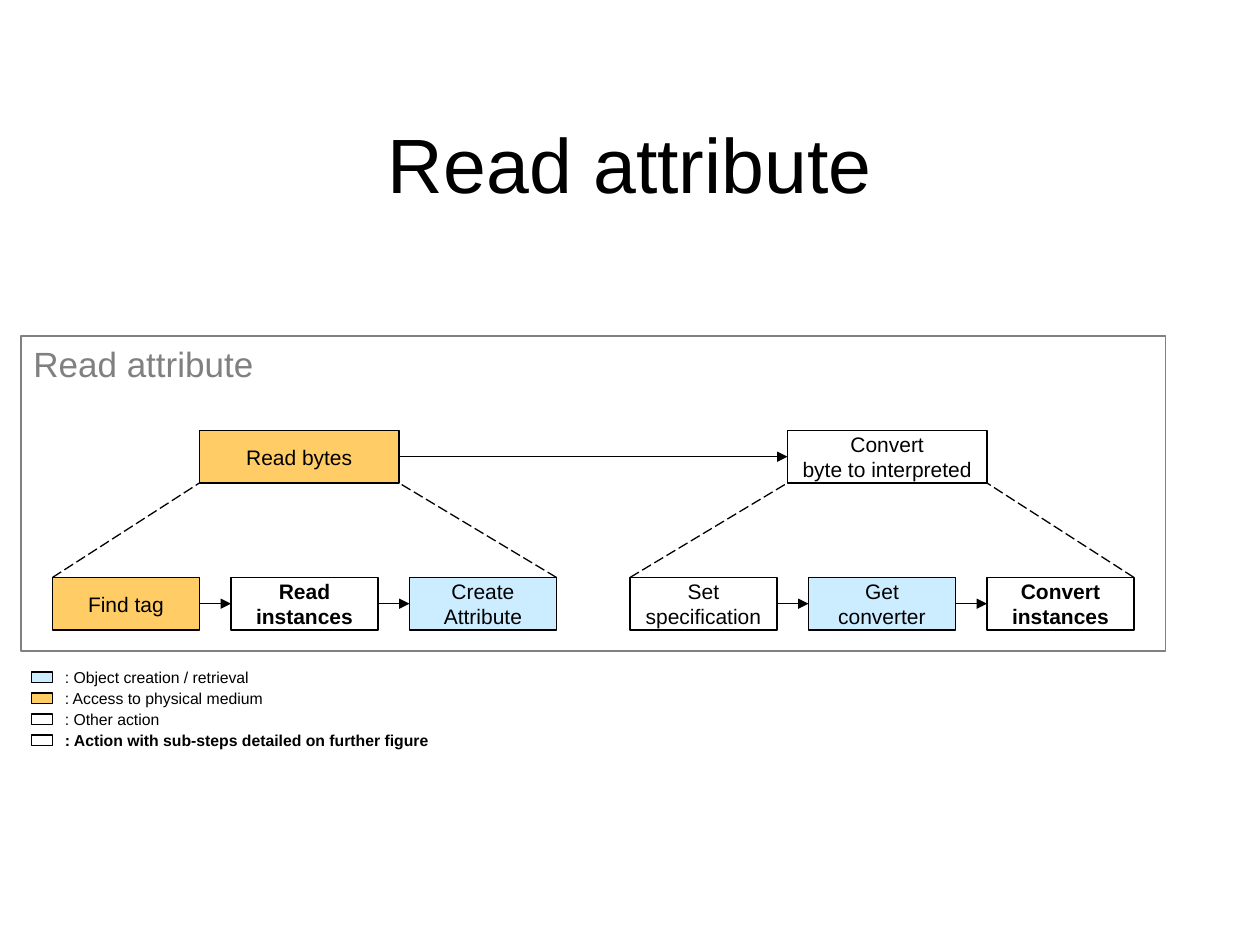
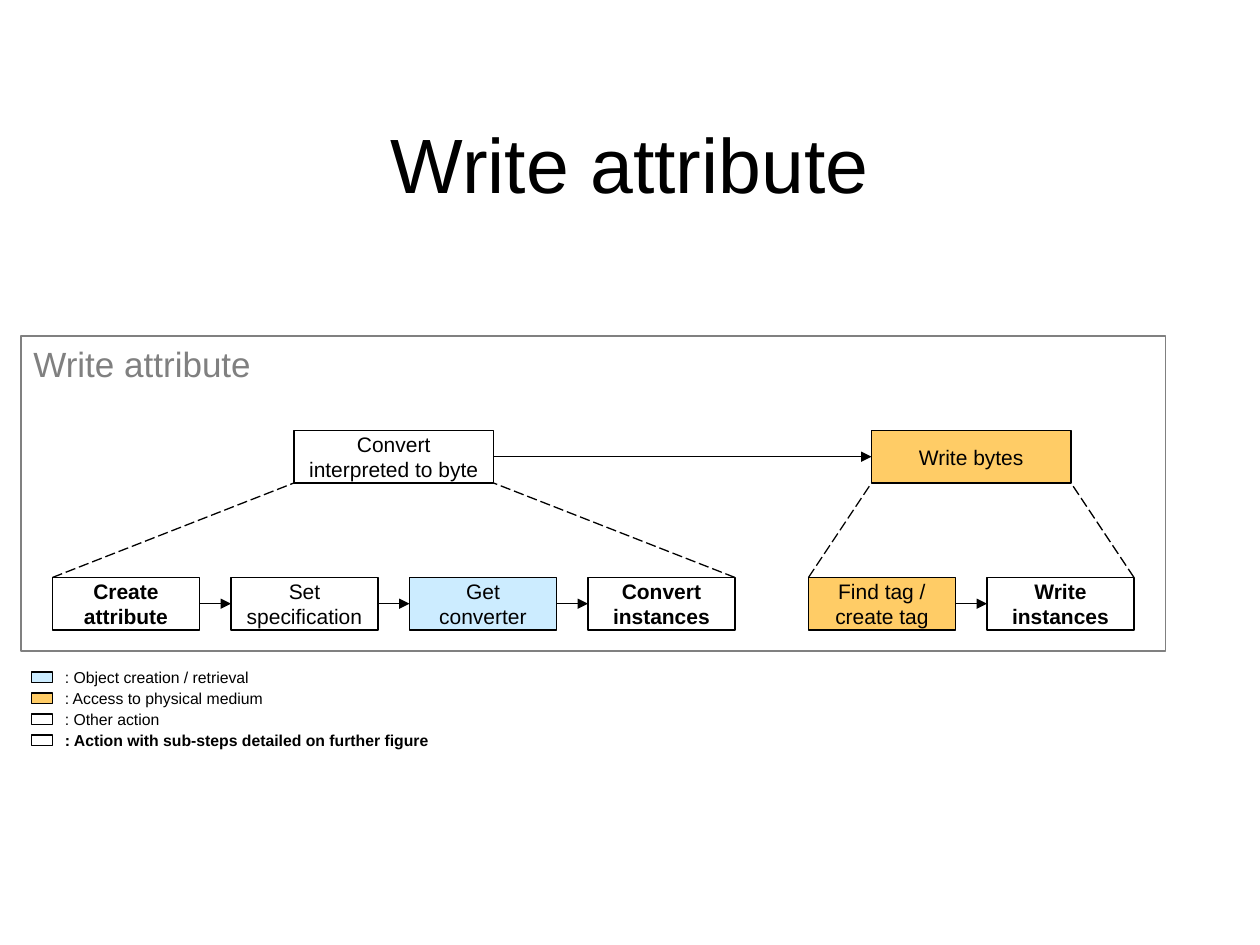
"""Build two process slides: reading and writing an attribute."""
from typing import NamedTuple

from lxml.etree import SubElement
from pptx import Presentation
from pptx.dml.color import RGBColor
from pptx.enum.dml import MSO_LINE
from pptx.enum.shapes import MSO_CONNECTOR, MSO_SHAPE
from pptx.enum.text import MSO_ANCHOR, PP_ALIGN
from pptx.oxml.ns import qn
from pptx.shapes.autoshape import Shape
from pptx.slide import Slide
from pptx.text.text import TextFrame
from pptx.util import Inches, Length, Pt

COLORS = {
    "ink": "000000",
    "frame": "808080",
    "object": "CCECFF",
    "medium": "FFCC66",
    "other": "FFFFFF",
}
FONT = "Arial"
LINE_WIDTH = Pt(0.75)

UNITS_PER_INCH = 12
BOX_HEIGHT = 5
PHASE_TOP, PHASE_WIDTH = 41, 19
STEP_TOP, STEP_WIDTH, STEP_GAP = 55, 14, 3
LEGEND_TOP, LEGEND_PITCH = 63, 2


class Step(NamedTuple):
    label: str
    kind: str = "other"
    detailed: bool = False


class Phase(NamedTuple):
    label: str
    kind: str
    left: float
    steps_left: float
    steps: list[Step]


class Process(NamedTuple):
    title: str
    phases: list[Phase]


class LegendEntry(NamedTuple):
    label: str
    kind: str
    width: float
    detailed: bool = False


LEGEND = [
    LegendEntry(": Object creation / retrieval", "object", 21),
    LegendEntry(": Access to physical medium", "medium", 25),
    LegendEntry(": Other action", "other", 23),
    LegendEntry(": Action with sub-steps detailed on further figure", "other", 39, True),
]

PROCESSES = [
    Process("Read attribute", [
        Phase("Read bytes", "medium", 19, 5, [
            Step("Find tag", "medium"),
            Step("Read\ninstances", detailed=True),
            Step("Create\nAttribute", "object"),
        ]),
        Phase("Convert\nbyte to interpreted", "other", 75, 60, [
            Step("Set\nspecification"),
            Step("Get\nconverter", "object"),
            Step("Convert\ninstances", detailed=True),
        ]),
    ]),
    Process("Write attribute", [
        Phase("Convert\ninterpreted to byte", "other", 28, 5, [
            Step("Create\nattribute", detailed=True),
            Step("Set\nspecification"),
            Step("Get\nconverter", "object"),
            Step("Convert\ninstances", detailed=True),
        ]),
        Phase("Write bytes", "medium", 83, 77, [
            Step("Find tag /\ncreate tag", "medium"),
            Step("Write\ninstances", detailed=True),
        ]),
    ]),
]


def units(*values: float) -> list[Length]:
    """Convert grid units, a twelfth of an inch each, to lengths."""
    return [Inches(value / UNITS_PER_INCH) for value in values]


def color(name: str) -> RGBColor:
    """Look up a colour by its role."""
    return RGBColor.from_string(COLORS[name])


def write(frame: TextFrame, text: str, size: float, ink: str = "ink", bold: bool = False,
          align: PP_ALIGN = PP_ALIGN.LEFT, anchor: MSO_ANCHOR = MSO_ANCHOR.MIDDLE) -> None:
    """Fill a text frame with one formatted paragraph."""
    frame.word_wrap = False
    frame.vertical_anchor = anchor
    paragraph = frame.paragraphs[0]
    paragraph.text = text
    paragraph.alignment = align
    font = paragraph.font
    font.name, font.size, font.bold = FONT, Pt(size), bold
    font.color.rgb = color(ink)


def add_box(slide: Slide, left: float, top: float, width: float, height: float,
            fill: str | None = None, outline: str = "ink") -> Shape:
    """Draw an outlined rectangle, filled if a colour is named."""
    box = slide.shapes.add_shape(MSO_SHAPE.RECTANGLE, *units(left, top, width, height))
    box.shadow.inherit = False
    if fill:
        box.fill.solid()
        box.fill.fore_color.rgb = color(fill)
    else:
        box.fill.background()
    box.line.color.rgb = color(outline)
    box.line.width = LINE_WIDTH
    return box


def add_action(slide: Slide, label: str, kind: str, left: float, top: float,
               width: float, bold: bool = False) -> None:
    """Draw a labelled action box."""
    box = add_box(slide, left, top, width, BOX_HEIGHT, kind)
    write(box.text_frame, label, 12, bold=bold, align=PP_ALIGN.CENTER)


def add_link(slide: Slide, start: tuple[float, float], end: tuple[float, float],
             arrow: bool = False) -> None:
    """Draw a solid arrow or a plain dashed line."""
    link = slide.shapes.add_connector(MSO_CONNECTOR.STRAIGHT, *units(*start, *end))
    link.line.color.rgb = color("ink")
    link.line.width = LINE_WIDTH
    if arrow:
        SubElement(link.line._get_or_add_ln(), qn("a:tailEnd"), type="triangle")
    else:
        link.line.dash_style = MSO_LINE.LONG_DASH
    SubElement(link._element.spPr, qn("a:effectLst"))


def add_phase(slide: Slide, phase: Phase) -> None:
    """Draw a phase, its row of steps and the dashed lines between them."""
    add_action(slide, phase.label, phase.kind, phase.left, PHASE_TOP, PHASE_WIDTH)
    middle = STEP_TOP + BOX_HEIGHT / 2
    for index, step in enumerate(phase.steps):
        left = phase.steps_left + index * (STEP_WIDTH + STEP_GAP)
        add_action(slide, step.label, step.kind, left, STEP_TOP, STEP_WIDTH, step.detailed)
        if index:
            add_link(slide, (left - STEP_GAP, middle), (left, middle), arrow=True)
    phase_bottom = PHASE_TOP + BOX_HEIGHT
    add_link(slide, (phase.steps_left, STEP_TOP), (phase.left, phase_bottom))
    add_link(slide, (left + STEP_WIDTH, STEP_TOP), (phase.left + PHASE_WIDTH, phase_bottom))


def add_legend(slide: Slide) -> None:
    """Draw the colour key below the process frame."""
    for index, entry in enumerate(LEGEND):
        top = LEGEND_TOP + index * LEGEND_PITCH
        add_box(slide, 3, top + 1, 2, 1, entry.kind)
        caption = slide.shapes.add_textbox(*units(5, top, entry.width, 3))
        write(caption.text_frame, entry.label, 9, bold=entry.detailed)


def add_title(slide: Slide, text: str) -> None:
    """Place and format the title placeholder."""
    title = slide.shapes.title
    title.left, title.top, title.width, title.height = units(9, 8, 102, 15)
    write(title.text_frame, text, 44, align=PP_ALIGN.CENTER)
    title.text_frame.word_wrap = True


def add_process(deck: Presentation, process: Process) -> None:
    """Add one process slide."""
    slide = deck.slides.add_slide(deck.slide_layouts[5])
    add_title(slide, process.title)
    frame = add_box(slide, 2, 32, 109, 30, outline="frame")
    write(frame.text_frame, process.title, 20, "frame", anchor=MSO_ANCHOR.TOP)
    for phase in process.phases:
        add_phase(slide, phase)
    first, second = process.phases
    middle = PHASE_TOP + BOX_HEIGHT / 2
    add_link(slide, (first.left + PHASE_WIDTH, middle), (second.left, middle), arrow=True)
    add_legend(slide)


def main() -> None:
    """Build and save the deck."""
    deck = Presentation()
    deck.slide_width, deck.slide_height = Inches(10), Inches(7.5)
    for process in PROCESSES:
        add_process(deck, process)
    deck.save("out.pptx")


if __name__ == "__main__":
    main()
